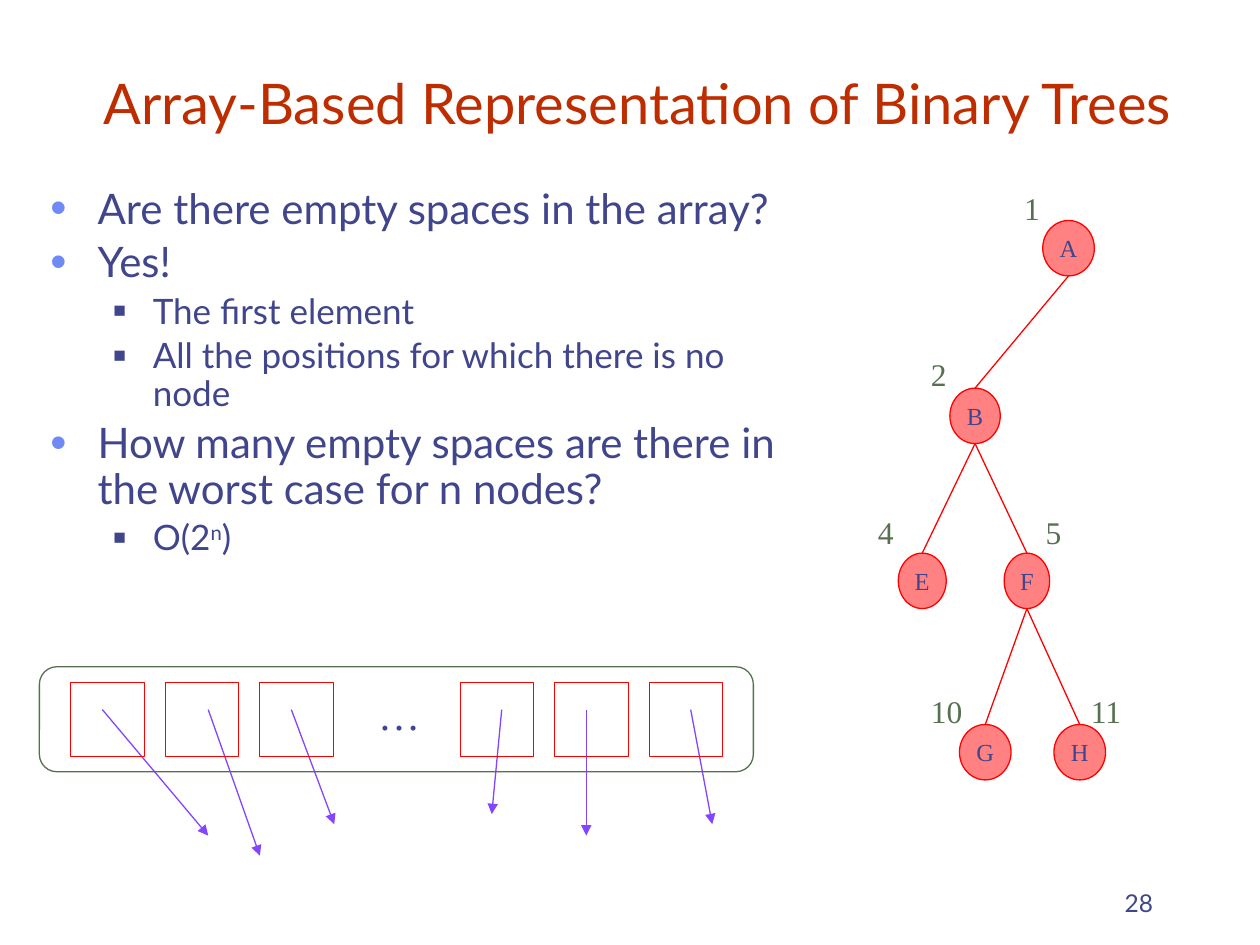
import pptx
import pptx.util
import pptx.dml.color
import pptx.enum.shapes
import pptx.enum.text
import pptx.oxml
import pptx.oxml.ns

Pt = pptx.util.Pt
SHAPE = pptx.enum.shapes.MSO_SHAPE
ALIGN = pptx.enum.text.PP_ALIGN
ANCHOR = pptx.enum.text.MSO_ANCHOR
STRAIGHT = pptx.enum.shapes.MSO_CONNECTOR.STRAIGHT
SANS, SERIF = "Lato", "Times New Roman"
COLORS = {
    "title": "BE2D00",
    "text": "40458C",
    "bullet": "6F89F7",
    "index": "577052",
    "node": "FF8181",
    "edge": "FF0000",
    "arrow": "8345FF",
}


def rgb(name):
    return pptx.dml.color.RGBColor.from_string(COLORS[name])


def add_xml(parent, tag, **attributes):
    child = pptx.oxml.parse_xml(f"<a:{tag} {pptx.oxml.ns.nsdecls('a')}/>")
    for key, value in attributes.items():
        child.set(key, value)
    parent.append(child)
    return child


def format_runs(para, font, size, color):
    for span in para.runs:
        span.font.name = font
        span.font.size = Pt(size)
        span.font.color.rgb = rgb(color)


def place(shape, box):
    shape.left, shape.top, shape.width, shape.height = [Pt(value) for value in box]


def add_text(shapes, box, text, font, size, color):
    shape = shapes.add_textbox(*[Pt(value) for value in box])
    shape.text_frame.word_wrap = False
    shape.text_frame.text = text
    format_runs(shape.text_frame.paragraphs[0], font, size, color)
    return shape


def add_outline(shapes, kind, box, line, fill=None):
    shape = shapes.add_shape(kind, *[Pt(value) for value in box])
    shape.shadow.inherit = False
    if fill:
        shape.fill.solid()
        shape.fill.fore_color.rgb = rgb(fill)
    else:
        shape.fill.background()
    shape.line.color.rgb = rgb(line)
    shape.line.width = Pt(0.75)
    return shape


def add_line(shapes, start, end, color, arrow=False):
    line = shapes.add_connector(STRAIGHT, *[Pt(value) for value in (*start, *end)])
    line.line.color.rgb = rgb(color)
    line.line.width = Pt(0.75)
    if arrow:
        add_xml(line.line._get_or_add_ln(), "tailEnd", type="triangle")
    add_xml(line._element.spPr, "effectLst")


def fill_title(page, box):
    title = page.shapes.title
    place(title, box)
    frame = title.text_frame
    frame.text = "Array-Based Representation of Binary Trees"
    frame.auto_size = pptx.enum.text.MSO_AUTO_SIZE.NONE
    frame.vertical_anchor = ANCHOR.BOTTOM
    frame.paragraphs[0].alignment = ALIGN.LEFT
    format_runs(frame.paragraphs[0], SANS, 32, "title")


def fill_body(page, box):
    levels = [
        {"size": 24, "margin": 27, "hang": 27, "char": "•", "color": "bullet", "scale": 110},
        {"size": 20, "margin": 58.5, "hang": 22.5, "char": "■", "color": "text", "scale": 60},
    ]
    items = [
        (0, ["Are there empty spaces in the array?"]),
        (0, ["Yes!"]),
        (1, ["The first element"]),
        (1, ["All the positions for which there is no node"]),
        (0, ["How many empty spaces are there in the worst case for n nodes?"]),
        (1, ["O(2", "n", ")"]),
    ]
    body = page.placeholders[1]
    place(body, box)
    frame = body.text_frame
    frame.auto_size = pptx.enum.text.MSO_AUTO_SIZE.NONE
    for number, (level, parts) in enumerate(items):
        para = frame.add_paragraph() if number else frame.paragraphs[0]
        style = levels[level]
        para.level = level
        para.line_spacing = 0.9
        para.space_before = Pt(0.2 * style["size"] if number else 0)
        properties = para._p.get_or_add_pPr()
        properties.set("marL", str(Pt(style["margin"])))
        properties.set("indent", str(-Pt(style["hang"])))
        add_xml(add_xml(properties, "buClr"), "srgbClr", val=COLORS[style["color"]])
        add_xml(properties, "buSzPct", val=str(style["scale"] * 1000))
        add_xml(properties, "buFont", typeface="Arial")
        add_xml(properties, "buChar", char=style["char"])
        for part in parts:
            para.add_run().text = part
        format_runs(para, SANS, style["size"], style["color"] if level else "text")
        if len(parts) == 3:
            para.runs[1]._r.get_or_add_rPr().set("baseline", "30000")


def draw_tree(page, box):
    left, top, _, _ = box
    node_height = 31.7
    nodes = {
        "A": (116, 21.6, 29.5, "1", 83.5, 0),
        "B": (62.6, 117.4, 28.8, "2", 30.2, 95),
        "E": (32.4, 211.7, 27.4, "4", 0, 185),
        "F": (92.2, 211.7, 26, "5", 95.8, 185),
        "G": (68.4, 309.6, 29.5, "10", 30.2, 287.3),
        "H": (122.4, 309.6, 29.5, "11", 121.7, 287.3),
    }
    for letter, (center, node_top, width, index, index_left, index_top) in nodes.items():
        index_box = (left + index_left, top + index_top, 14.4 + 9 * len(index), 28.8)
        add_text(page.shapes, index_box, index, SERIF, 18, "index")
        node_box = (left + center - width / 2, top + node_top, width, node_height)
        node = add_outline(page.shapes, SHAPE.OVAL, node_box, "edge", "node")
        frame = node.text_frame
        frame.word_wrap = False
        frame.text = letter
        frame.vertical_anchor = ANCHOR.MIDDLE
        frame.paragraphs[0].alignment = ALIGN.CENTER
        format_runs(frame.paragraphs[0], SERIF, 14, "text")
    for parent, child in ("AB", "BE", "BF", "FG", "FH"):
        start = (left + nodes[parent][0], top + nodes[parent][1] + node_height)
        end = (left + nodes[child][0], top + nodes[child][1])
        add_line(page.shapes, start, end, "edge")


def draw_array(page, box):
    left, top, _, _ = box
    cell_top, cell_size, pitch = top + 9.2, 42, 54
    arrows = [
        (36, 96.5, 96.5),
        (96.5, 126, 108),
        (144, 168.5, 90),
        (264.2, 258.5, 84.2),
        (312.5, 312.5, 96.5),
        (372.2, 384.5, 90),
    ]
    for start, end, depth in arrows:
        add_line(page.shapes, (left + start, top + 24.5), (left + end, top + depth), "arrow", True)
    shapes = page.shapes.add_group_shape().shapes
    frame = add_outline(shapes, SHAPE.ROUNDED_RECTANGLE, box, "index")
    frame.adjustments[0] = 0.167
    for first in (18, 240.5):
        for column in range(3):
            cell_box = (left + first + column * pitch, cell_top, cell_size, cell_size)
            add_outline(shapes, SHAPE.RECTANGLE, cell_box, "edge")
    add_text(shapes, (left + 186.5, cell_top, 38.4, 36), "…", SERIF, 24, "text")


def add_page_number(page, box):
    number = add_text(page.shapes, box, "28", SANS, 14, "text")
    number.text_frame.word_wrap = True
    number.text_frame.vertical_anchor = ANCHOR.BOTTOM
    number.text_frame.paragraphs[0].alignment = ALIGN.RIGHT


def main():
    deck = pptx.Presentation()
    deck.slide_width, deck.slide_height = Pt(720), Pt(540)
    page = deck.slides.add_slide(deck.slide_layouts[1])
    add_page_number(page, (516, 492, 150, 36))
    draw_tree(page, (494.6, 104.4, 154, 342))
    draw_array(page, (22.5, 381, 408, 60))
    fill_body(page, (21.6, 103.7, 440, 325.4))
    fill_title(page, (51.8, -8.6, 656, 90))
    deck.save("out.pptx")


if __name__ == "__main__":
    main()
